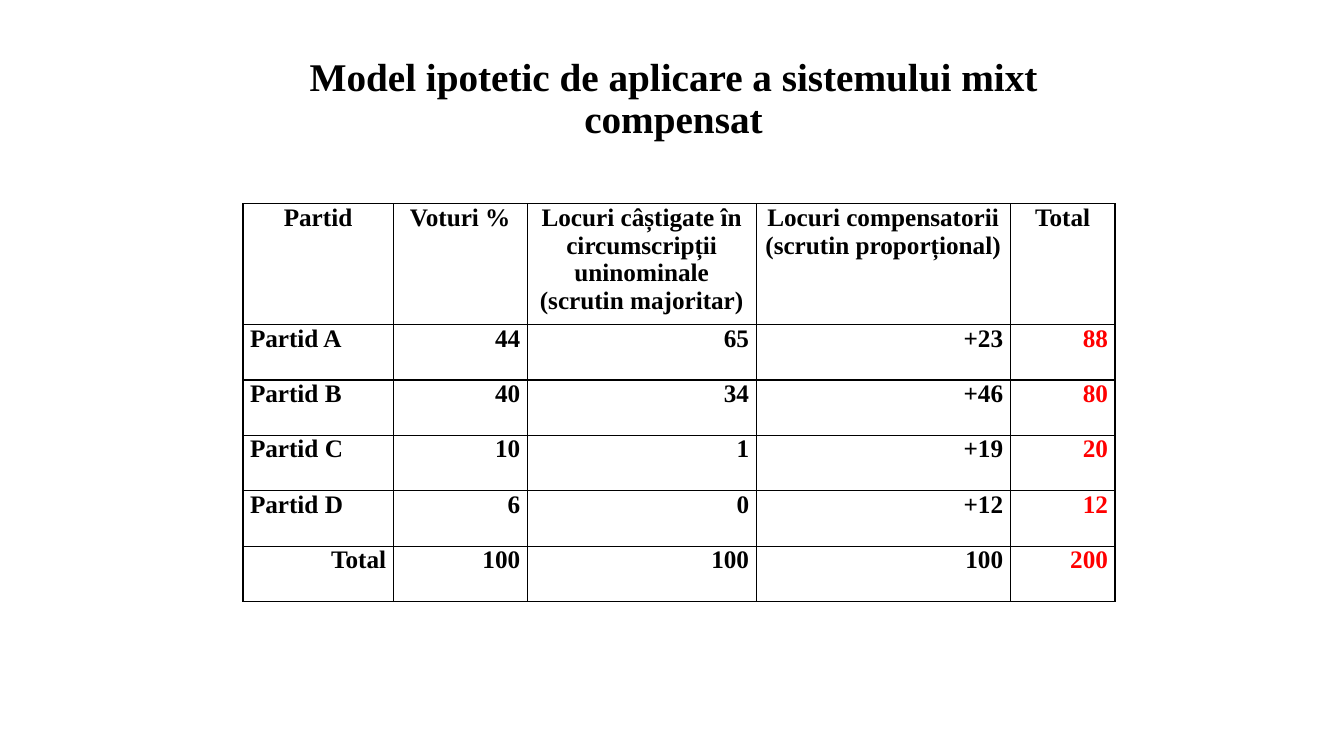
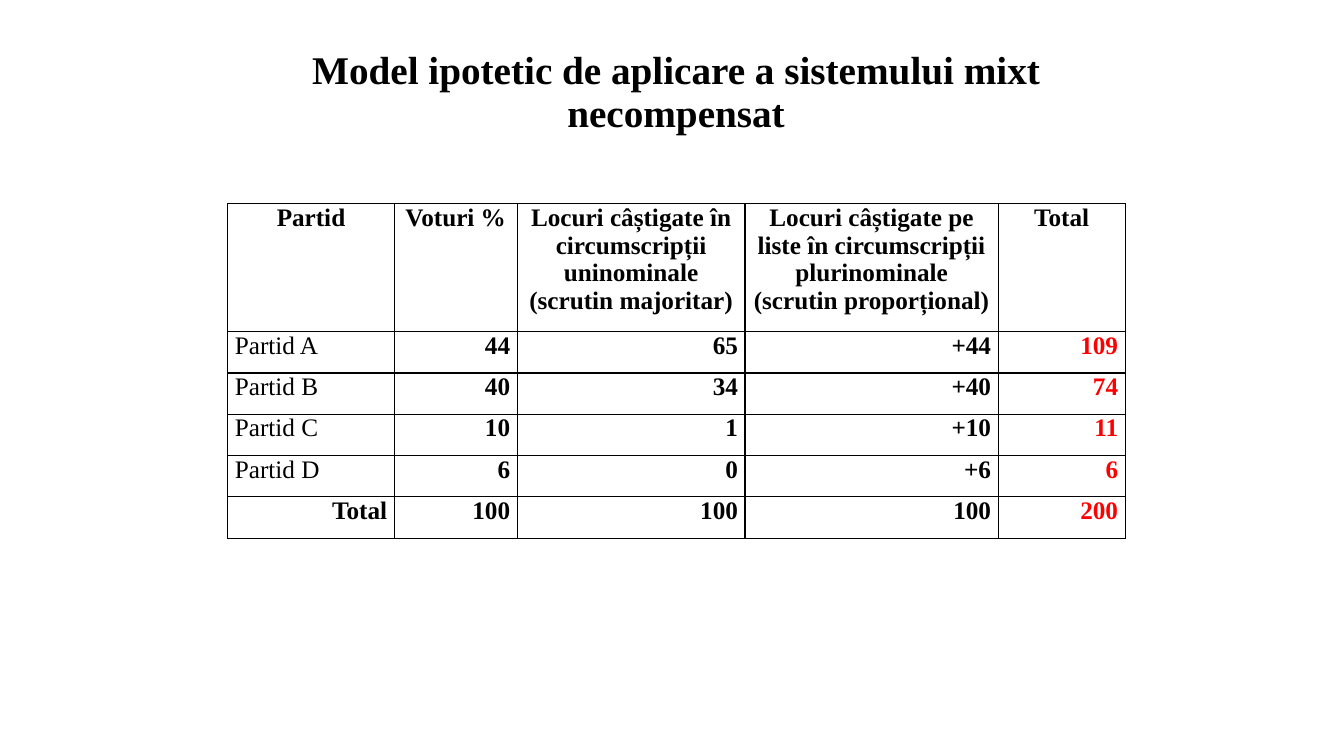
from lxml.etree import SubElement
from pptx import Presentation
from pptx.dml.color import RGBColor
from pptx.enum.text import MSO_ANCHOR, MSO_AUTO_SIZE, PP_ALIGN
from pptx.oxml.ns import qn
from pptx.util import Pt

SCALE = 9144
FONT = "Times New Roman"
BLACK = RGBColor(0, 0, 0)
RED = RGBColor(255, 0, 0)
TOP = 202
PARTIES = [("Partid A", 44, 65), ("Partid B", 40, 34),
           ("Partid C", 10, 1), ("Partid D", 6, 0)]
MAJOR = "Locuri câștigate în circumscripții uninominale\n(scrutin majoritar)"
COMP = "Locuri compensatorii\n(scrutin proporțional)"
LISTS = ("Locuri câștigate pe liste în circumscripții plurinominale\n"
         "(scrutin proporțional)")


def px(num):
    return num * SCALE


def write(para, text, size, align, color=BLACK, bold=True):
    para.alignment = align
    run = para.add_run()
    run.text = text
    font = run.font
    font.name, font.size, font.bold = FONT, Pt(size), bold
    font.color.rgb = color


def add_title(slide, text, box, inset):
    title = slide.shapes.title
    title.left, title.top, title.width, title.height = map(px, box)
    frame = title.text_frame
    frame.word_wrap = True
    frame.auto_size = MSO_AUTO_SIZE.NONE
    frame.vertical_anchor = MSO_ANCHOR.MIDDLE
    frame.margin_top = px(inset)
    para = frame.paragraphs[0]
    para.line_spacing = 0.9
    write(para, text, 28, PP_ALIGN.CENTER)


def add_edges(cell):
    props = cell._tc.get_or_add_tcPr()
    for side in ("lnL", "lnR", "lnT", "lnB"):
        line = SubElement(props, qn(f"a:{side}"), w=str(Pt(1)))
        fill = SubElement(line, qn("a:solidFill"))
        SubElement(fill, qn("a:srgbClr"), val=str(BLACK))


def fill_cell(cell, text, align, color, bold):
    cell.margin_left = cell.margin_right = px(7)
    cell.margin_top = cell.margin_bottom = 0
    add_edges(cell)
    cell.fill.background()
    frame = cell.text_frame
    for num, part in enumerate(text.split("\n")):
        para = frame.add_paragraph() if num else frame.paragraphs[0]
        write(para, part, 18, align, color, bold)


def make_rows(head, gains):
    rows = [(name, vote, seat, gain, seat + gain)
            for (name, vote, seat), gain in zip(PARTIES, gains)]
    sums = [sum(col) for col in list(zip(*rows))[1:]]
    body = [(name, vote, seat, f"+{gain}", total)
            for name, vote, seat, gain, total in rows]
    return [("Partid", "Voturi %", MAJOR, head, "Total"), *body,
            ("Total", *sums)]


def add_grid(slide, rows, left, widths, heights, bold):
    shape = slide.shapes.add_table(
        len(rows), len(widths), px(left), px(TOP),
        px(sum(widths)), px(sum(heights)))
    table = shape.table
    table.first_row = table.horz_banding = False
    for col, width in zip(table.columns, widths):
        col.width = px(width)
    for row, height in zip(table.rows, heights):
        row.height = px(height)
    last_row, last_col = len(rows) - 1, len(widths) - 1
    for r, row in enumerate(rows):
        for c, value in enumerate(row):
            name = c == 0 and 0 < r < last_row
            align = PP_ALIGN.LEFT if name else PP_ALIGN.RIGHT
            if r == 0:
                align = PP_ALIGN.CENTER
            color = RED if r and c == last_col else BLACK
            fill_cell(table.cell(r, c), str(value), align, color,
                      bold or not name)


def add_model(deck, kind, box, inset, head, gains, left, widths, heights,
              bold):
    slide = deck.slides.add_slide(deck.slide_layouts[5])
    add_title(slide, f"Model ipotetic de aplicare a sistemului mixt {kind}",
              box, inset)
    add_grid(slide, make_rows(head, gains), left, widths, heights, bold)


def main():
    deck = Presentation()
    deck.slide_width, deck.slide_height = px(1333), px(750)
    add_model(deck, "compensat", (218, 28, 900, 125), 22, COMP,
              (23, 46, 19, 12), 241, (149, 133, 227, 252, 104),
              [120] + [55] * 5, True)
    add_model(deck, "necompensat", (202, 30, 937, 125), 5, LISTS,
              (44, 40, 10, 6), 226, (165, 122, 226, 251, 126),
              [127] + [41] * 5, False)
    deck.save("out.pptx")


if __name__ == "__main__":
    main()
